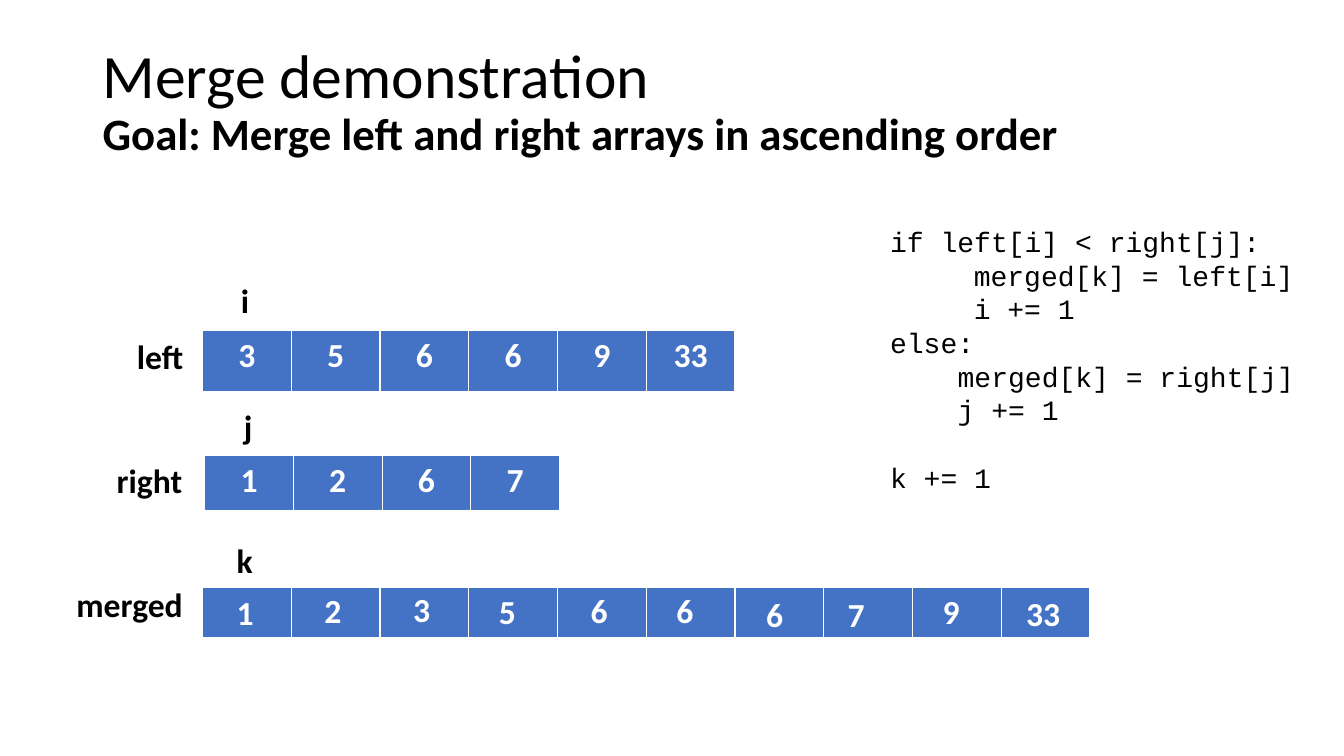
from pptx import Presentation
from pptx.dml.color import RGBColor
from pptx.enum.text import PP_ALIGN
from pptx.util import Pt

PX = 9144  # EMU per px, 100 px to the inch
BLACK = RGBColor(0x00, 0x00, 0x00)
WHITE = RGBColor(0xFF, 0xFF, 0xFF)
BLUE = RGBColor(0x44, 0x72, 0xC4)
CELL = 88

deck = Presentation()
deck.slide_width, deck.slide_height = 1333 * PX, 750 * PX
slide = deck.slides.add_slide(deck.slide_layouts[6])


def write(text, para, size=24, bold=True, color=BLACK, font="Calibri",
          indent=0, before=0, line=None, align=None):
    run = para.add_run()
    run.text = text
    run.font.size, run.font.bold, run.font.name = Pt(size), bold, font
    run.font.color.rgb = color
    para.space_before, para.line_spacing = Pt(before), line
    para.alignment = align
    if indent:
        props = para._p.get_or_add_pPr()
        props.set("marL", str(indent * PX))
        props.set("indent", "0")


def add_box(x, y, w, h, wrap=False):
    frame = slide.shapes.add_textbox(x * PX, y * PX, w * PX, h * PX).text_frame
    frame.word_wrap = wrap
    return frame


# Title and goal
head = add_box(92, 40, 1150, 212, wrap=True)
write("Merge demonstration", head.paragraphs[0], size=44, bold=False, line=0.9)
write("Goal: Merge left and right arrays in ascending order",
      head.add_paragraph(), size=32, line=0.9)

# Arrays: x, y, row height, values (the merged cells are filled by labels below)
arrays = [
    (201, 328, 60, ["3", "5", "6", "6", "9", "33"]),
    (203, 452, 55, ["1", "2", "6", "7"]),
    (201, 583, 50, [""] * 10),
]
for x, y, h, values in arrays:
    count = len(values)
    table = slide.shapes.add_table(
        1, count, x * PX, y * PX, count * CELL * PX, h * PX).table
    for col, value in enumerate(values):
        table.columns[col].width = CELL * PX
        cell = table.cell(0, col)
        cell.fill.solid()
        cell.fill.fore_color.rgb = BLUE
        if value:
            write(value, cell.text_frame.paragraphs[0], color=WHITE,
                  align=PP_ALIGN.CENTER)

# Array names and index marks
labels = [
    ("left", 126, 328, 68), ("right", 106, 451, 86), ("merged", 66, 574, 127),
    ("i", 229, 273, 28), ("j", 232, 398, 29), ("k", 225, 531, 36),
]
for text, x, y, w in labels:
    write(text, add_box(x, y, w, 50).paragraphs[0])

# Merged values, each placed by hand over its cell
merged = [
    ("1", 225, 582), ("2", 312, 580), ("3", 400, 579), ("5", 485, 581),
    ("6", 576, 580), ("6", 661, 580), ("6", 750, 584), ("7", 831, 584),
    ("9", 925, 581), ("33", 1008, 583),
]
for text, x, y in merged:
    frame = add_box(x, y, 37 * len(text), 50, wrap=True)
    write(text, frame.paragraphs[0], color=WHITE)

# Code: text, indent in px, space before in points
code = [
    ("if left[i] < right[j]:", 0, 0),
    ("merged[k] = left[i]", 83, 0),
    ("i += 1", 83, 0),
    ("else:", 0, 0),
    ("merged[k] = right[j]", 67, 0),
    ("j += 1", 67, 0),
    ("k += 1", 0, 24),
]
frame = add_box(873, 218, 424, 279, wrap=True)
for row, (text, indent, before) in enumerate(code):
    para = frame.add_paragraph() if row else frame.paragraphs[0]
    write(text, para, size=20, bold=False, font="Courier New",
          indent=indent, before=before)

deck.save("out.pptx")
